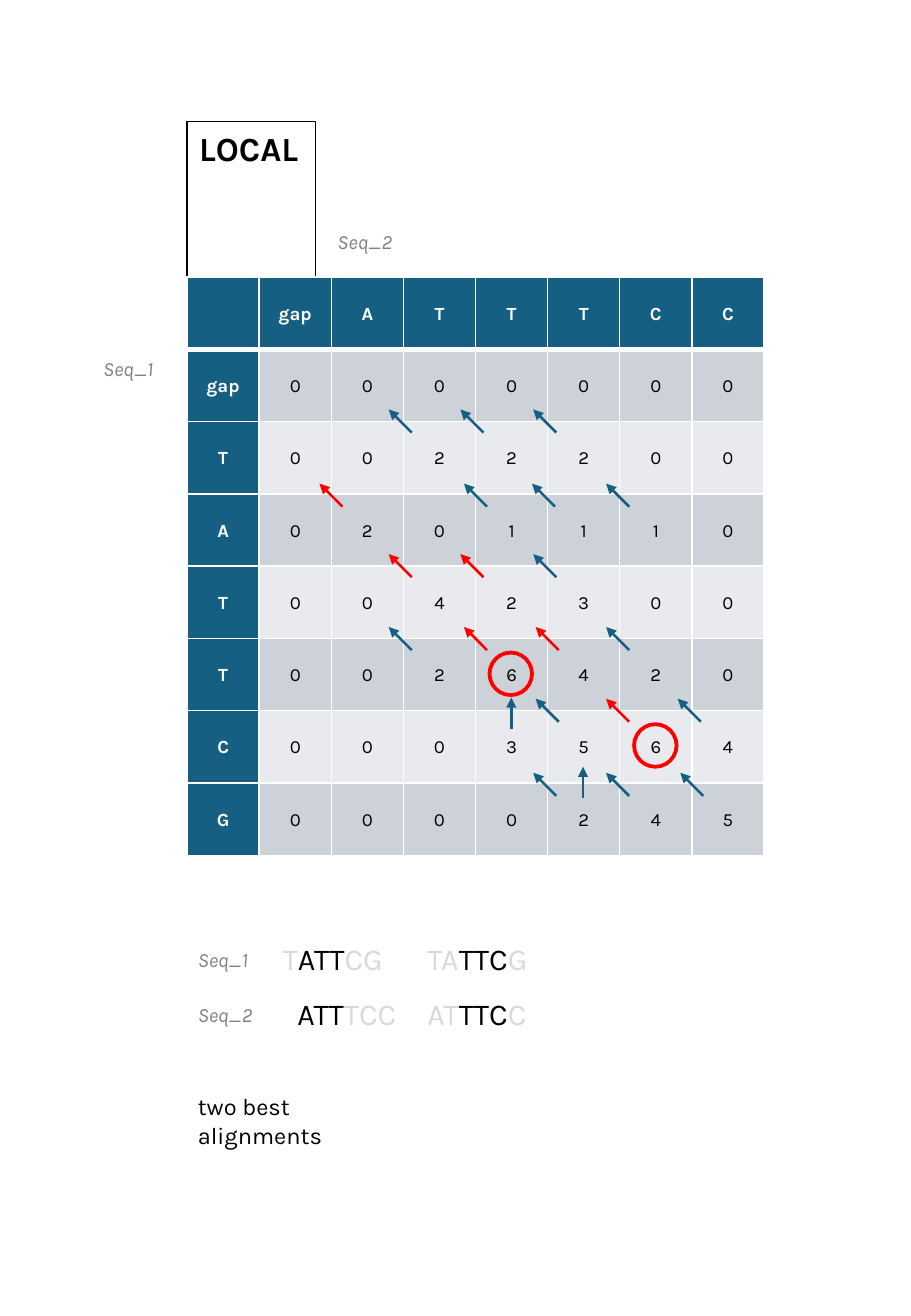
import dataclasses

import pptx
import pptx.dml.color
import pptx.enum.shapes
import pptx.enum.text
import pptx.oxml
import pptx.oxml.ns
import pptx.util

Inches, Pt = pptx.util.Inches, pptx.util.Pt
qn = pptx.oxml.ns.qn
CENTER = pptx.enum.text.PP_ALIGN.CENTER
LEFT = pptx.enum.text.PP_ALIGN.LEFT


@dataclasses.dataclass(frozen=True)
class Theme:
    font: str = "Karla"
    blue: str = "156082"
    red: str = "FF0000"
    black: str = "000000"
    white: str = "FFFFFF"
    grey: str = "808080"
    faded: str = "D9D9D9"
    bands: tuple = ("CCD2D8", "E8EAED")
    title_size: float = 20
    sequence_size: float = 18
    note_size: float = 14
    label_size: float = 12
    cell_size: float = 11


THEME = Theme()

SCORES = [
    ["", "gap", "A", "T", "T", "T", "C", "C"],
    ["gap", 0, 0, 0, 0, 0, 0, 0],
    ["T", 0, 0, 2, 2, 2, 0, 0],
    ["A", 0, 2, 0, 1, 1, 1, 0],
    ["T", 0, 0, 4, 2, 3, 0, 0],
    ["T", 0, 0, 2, 6, 4, 2, 0],
    ["C", 0, 0, 0, 3, 5, 6, 4],
    ["G", 0, 0, 0, 0, 2, 4, 5],
]

# Height of the arrow tips: (tip positions off the best paths, tip positions on them)
DIAGONAL_TIPS = {
    3.37: ([3.20, 3.79, 4.39], []),
    3.98: ([3.82, 4.38, 4.99], [2.63]),
    4.56: ([4.39], [3.20, 3.79]),
    5.16: ([3.20, 4.99], [3.82, 4.41]),
    5.75: ([4.41, 5.58], [4.99]),
    6.36: ([4.39, 4.99, 5.60], []),
}
UPWARD_TIPS = [(4.21, 5.74), (4.80, 6.31)]
BEST_SCORES = [(4.03, 5.37), (5.22, 5.96)]

SEQUENCE_LABELS = [
    ("Seq_2", 2.68, 1.84),
    ("Seq_1", 0.75, 2.88),
    ("Seq_1", 1.53, 7.75),
    ("Seq_2", 1.53, 8.20),
]
# Left, top, unaligned start, aligned part, unaligned end
ALIGNMENTS = [
    (2.23, 7.69, "T", "ATT", "CG"),
    (2.35, 8.14, "", "ATT", "TCC"),
    (3.42, 7.69, "TA", "TTC", "G"),
    (3.42, 8.14, "AT", "TTC", "C"),
]


def rgb(color):
    return pptx.dml.color.RGBColor.from_string(color)


def add_span(para, text, size, color, bold=False, italic=False):
    span = para.add_run()
    span.text = text
    font = span.font
    font.name, font.size = THEME.font, Pt(size)
    font.bold, font.italic = bold, italic
    font.color.rgb = rgb(color)


def fit_frame(frame):
    frame.word_wrap = True
    frame.auto_size = pptx.enum.text.MSO_AUTO_SIZE.SHAPE_TO_FIT_TEXT


def add_text(slide, left, top, width, height, spans, size, italic=False):
    """Add a text box whose spans are (text, color) pairs."""
    box = slide.shapes.add_textbox(Inches(left), Inches(top), Inches(width), Inches(height))
    fit_frame(box.text_frame)
    for text, color in spans:
        if text:
            add_span(box.text_frame.paragraphs[0], text, size, color, italic=italic)


def add_title(slide):
    title = slide.shapes.title
    title.left, title.top = Inches(1.54), Inches(1)
    title.width, title.height = Inches(1.06), Inches(0.44)
    title.line.color.rgb = rgb(THEME.black)
    title.line.width = Pt(0.75)
    fit_frame(title.text_frame)
    title.text_frame.vertical_anchor = pptx.enum.text.MSO_ANCHOR.TOP
    para = title.text_frame.paragraphs[0]
    para.alignment = LEFT
    add_span(para, "LOCAL", THEME.title_size, THEME.black, bold=True)


def set_borders(cell, widths):
    """Draw white borders; widths maps each side (L, R, T, B) to points."""
    properties = cell._tc.get_or_add_tcPr()
    for side, width in widths.items():
        border = properties.makeelement(qn(f"a:ln{side}"), {"w": str(Pt(width))})
        fill = pptx.oxml.parse_xml(
            f'<a:solidFill {pptx.oxml.ns.nsdecls("a")}><a:srgbClr val="{THEME.white}"/></a:solidFill>'
        )
        border.append(fill)
        properties.append(border)


def add_score_table(slide):
    size = len(SCORES)
    frame = slide.shapes.add_table(
        size, size, Inches(1.54), Inches(2.28), Inches(4.75), Inches(4.76))
    for row, values in enumerate(SCORES):
        for column, value in enumerate(values):
            cell = frame.table.cell(row, column)
            heading = row == 0 or column == 0
            set_borders(cell, {"L": 1, "R": 1, "T": 3 if row == 1 else 1, "B": 3 if row == 0 else 1})
            cell.fill.solid()
            cell.fill.fore_color.rgb = rgb(THEME.blue if heading else THEME.bands[(row - 1) % 2])
            cell.vertical_anchor = pptx.enum.text.MSO_ANCHOR.MIDDLE
            cell.margin_left = cell.margin_right = Inches(0.04)
            cell.margin_top = cell.margin_bottom = 0
            para = cell.text_frame.paragraphs[0]
            para.alignment, para.line_spacing, para.space_after = CENTER, 1.07, Pt(8)
            if value != "":
                color = THEME.white if heading else THEME.black
                add_span(para, str(value), THEME.cell_size, color, bold=heading)


def add_arrow(slide, tip_x, tip_y, run, rise, color):
    """Draw an arrow that starts run to the right of and rise below its tip."""
    arrow = slide.shapes.add_connector(
        pptx.enum.shapes.MSO_CONNECTOR.STRAIGHT,
        Inches(tip_x + run), Inches(tip_y + rise), Inches(tip_x), Inches(tip_y))
    arrow.line.color.rgb = rgb(color)
    arrow.line.width = Pt(1.5)
    properties = arrow.element.spPr
    line = properties.find(qn("a:ln"))
    line.append(line.makeelement(qn("a:tailEnd"), {"type": "triangle"}))
    properties.append(properties.makeelement(qn("a:effectLst"), {}))


def add_best_score_ring(slide, left, top):
    ring = slide.shapes.add_shape(
        pptx.enum.shapes.MSO_SHAPE.OVAL, Inches(left), Inches(top), Inches(0.35), Inches(0.35))
    ring.shadow.inherit = False
    ring.fill.background()
    ring.line.color.rgb = rgb(THEME.red)
    ring.line.width = Pt(2.25)


def main():
    deck = pptx.Presentation()
    deck.slide_width, deck.slide_height = Inches(7.5), Inches(10.83)
    slide = deck.slides.add_slide(deck.slide_layouts.get_by_name("Title Only"))
    add_title(slide)
    add_score_table(slide)
    for tip_y, tips in DIAGONAL_TIPS.items():
        for color, positions in zip((THEME.blue, THEME.red), tips):
            for tip_x in positions:
                add_arrow(slide, tip_x, tip_y, 0.19, 0.19, color)
    for tip_x, tip_y in UPWARD_TIPS:
        add_arrow(slide, tip_x, tip_y, 0, 0.26, THEME.blue)
    for left, top in BEST_SCORES:
        add_best_score_ring(slide, left, top)
    for text, left, top in SEQUENCE_LABELS:
        add_text(slide, left, top, 0.65, 0.3, [(text, THEME.grey)], THEME.label_size, italic=True)
    for left, top, start, aligned, end in ALIGNMENTS:
        spans = [(start, THEME.faded), (aligned, THEME.black), (end, THEME.faded)]
        add_text(slide, left, top, 1.04, 0.4, spans, THEME.sequence_size)
    add_text(slide, 1.53, 8.94, 1.91, 0.34, [("two best alignments", THEME.black)], THEME.note_size)
    deck.save("out.pptx")


if __name__ == "__main__":
    main()
